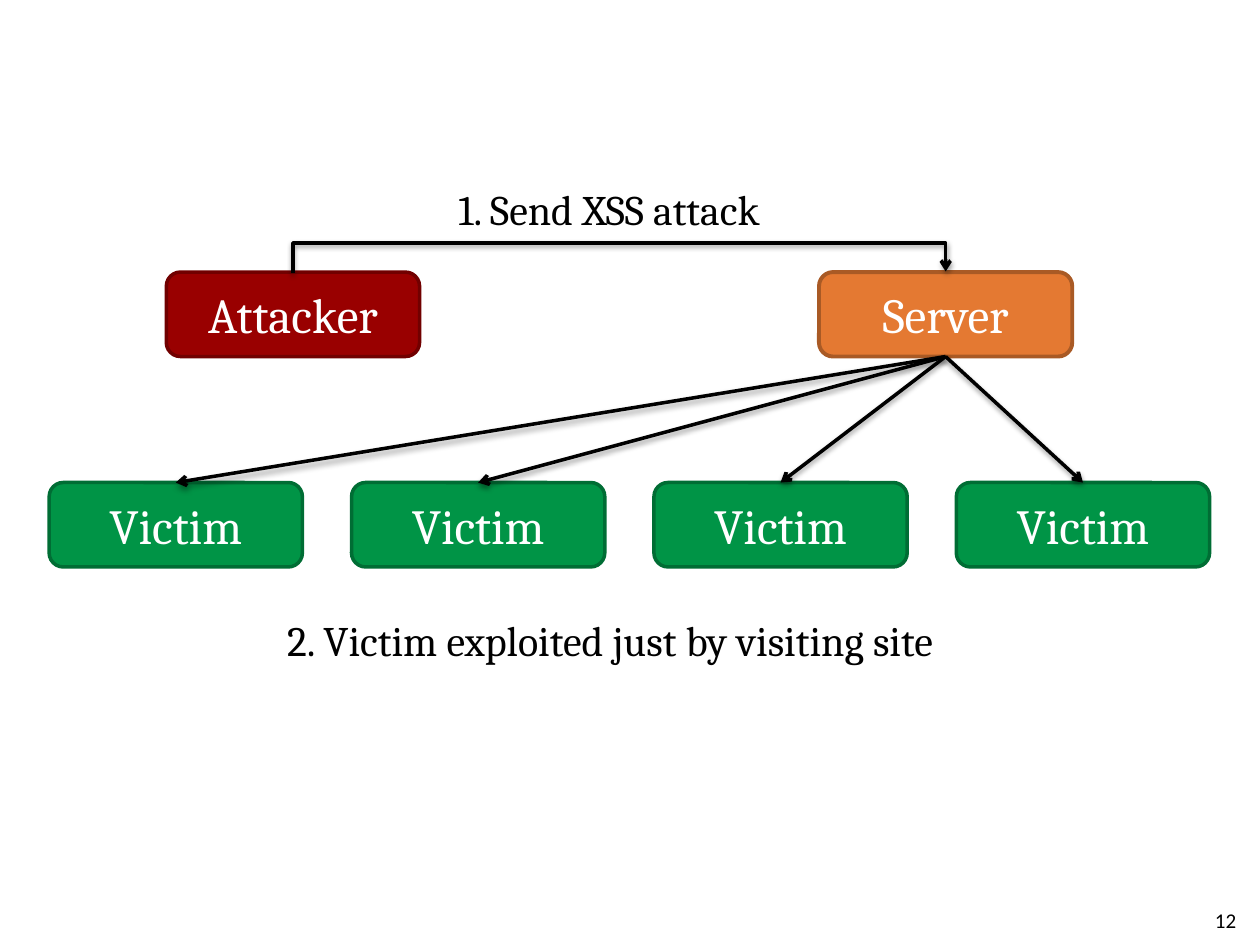
from lxml import etree
from pptx import Presentation
from pptx.dml.color import RGBColor
from pptx.enum.shapes import MSO_CONNECTOR, MSO_SHAPE
from pptx.enum.text import MSO_ANCHOR, MSO_AUTO_SIZE, PP_ALIGN
from pptx.oxml import parse_xml
from pptx.oxml.ns import nsdecls, qn
from pptx.util import Inches, Pt

ROUNDED = MSO_SHAPE.ROUNDED_RECTANGLE
STRAIGHT, ELBOW = MSO_CONNECTOR.STRAIGHT, MSO_CONNECTOR.ELBOW
MIDDLE = MSO_ANCHOR.MIDDLE
LEFT, CENTER, RIGHT = PP_ALIGN.LEFT, PP_ALIGN.CENTER, PP_ALIGN.RIGHT
FIT_SHAPE = MSO_AUTO_SIZE.SHAPE_TO_FIT_TEXT

BOX_WIDTH, BOX_HEIGHT = 2.01, 0.67
SHADOW = (
    f'<a:effectLst {nsdecls("a")}>'
    '<a:outerShdw blurRad="39370" dist="20320" dir="5400000" rotWithShape="0">'
    '<a:srgbClr val="000000"><a:alpha val="38000"/></a:srgbClr>'
    '</a:outerShdw></a:effectLst>'
)


def color(value):
    """Turn a hex string into a colour."""
    return RGBColor.from_string(value)


def write(shape, text, size, font_color, font_name="Cambria", alignment=LEFT):
    """Put one formatted paragraph into a shape."""
    shape.text_frame.text = text
    paragraph = shape.text_frame.paragraphs[0]
    paragraph.alignment = alignment
    font = paragraph.runs[0].font
    font.name, font.size = font_name, Pt(size)
    font.color.rgb = color(font_color)


def add_box(slide, left, top, text, fill, border, border_width=2):
    """Add a rounded box for one party."""
    shape = slide.shapes.add_shape(
        ROUNDED, Inches(left), Inches(top), Inches(BOX_WIDTH), Inches(BOX_HEIGHT))
    shape.shadow.inherit = False
    shape.fill.solid()
    shape.fill.fore_color.rgb = color(fill)
    shape.line.color.rgb = color(border)
    shape.line.width = Pt(border_width)
    shape.text_frame.vertical_anchor = MIDDLE
    write(shape, text, 28, "FFFFFF", alignment=CENTER)


def add_label(slide, left, top, width, height, text):
    """Add an unwrapped step label."""
    label = slide.shapes.add_textbox(
        Inches(left), Inches(top), Inches(width), Inches(height))
    label.text_frame.word_wrap = False
    label.text_frame.auto_size = FIT_SHAPE
    write(label, text, 24, "000000")


def add_arrow(slide, kind, start, end):
    """Add a black shadowed arrow between two points."""
    arrow = slide.shapes.add_connector(
        kind, *(Inches(value) for value in (*start, *end)))
    arrow.line.color.rgb = color("000000")
    arrow.line.width = Pt(2)
    properties = arrow._element.spPr
    etree.SubElement(properties.find(qn("a:ln")), qn("a:tailEnd"), type="arrow")
    properties.append(parse_xml(SHADOW))
    return arrow


def add_attack(slide, attacker_left, server_left, top):
    """Add the attacker, the server and the bent arrow over them."""
    add_box(slide, server_left, top, "Server", "E47932", "A95A25", 2.25)
    add_box(slide, attacker_left, top, "Attacker", "990000", "710000")
    span = server_left - attacker_left
    middle = (attacker_left + server_left + BOX_WIDTH) / 2
    thickness, rise = 0.01, 0.24
    arrow = add_arrow(
        slide, ELBOW,
        (middle + thickness / 2, top + span / 2),
        (middle - thickness / 2, top - span / 2))
    properties = arrow._element.spPr
    properties.find(qn("a:xfrm")).set("rot", "5400000")
    adjustments = properties.find(qn("a:prstGeom")).find(qn("a:avLst"))
    etree.SubElement(adjustments, qn("a:gd"), name="adj1",
                     fmla=f"val {round(rise / thickness * 100000)}")
    add_label(slide, 3.54, 1.41, 2.8, 0.5, "1. Send XSS attack")


def add_victims(slide, left, top, pitch, count, source):
    """Add a row of victims with arrows from the server."""
    lefts = [left + index * pitch for index in range(count)]
    for box_left in lefts:
        add_box(slide, box_left, top, "Victim", "009446", "006D34")
    for box_left in lefts:
        add_arrow(slide, STRAIGHT, source, (box_left + BOX_WIDTH / 2, top))
    add_label(slide, 2.18, 4.83, 5.64, 0.5,
              "2. Victim exploited just by visiting site")


def add_page_number(slide, left, top, width, height):
    """Add the page number at the bottom right."""
    number = slide.shapes.add_textbox(
        Inches(left), Inches(top), Inches(width), Inches(height))
    number.text_frame.word_wrap = True
    number.text_frame.vertical_anchor = MIDDLE
    write(number, "12", 12, "000000", "Calibri", RIGHT)


def main():
    """Build and save the slide."""
    presentation = Presentation()
    presentation.slide_width, presentation.slide_height = Inches(10), Inches(7.5)
    slide = presentation.slides.add_slide(presentation.slide_layouts[6])
    add_page_number(slide, 7.58, 7.1, 2.33, 0.4)
    server_left, top = 6.5, 2.16
    add_attack(slide, 1.32, server_left, top)
    source = (server_left + BOX_WIDTH / 2, top + BOX_HEIGHT)
    add_victims(slide, 0.39, 3.83, 2.4, 4, source)
    presentation.save("out.pptx")


if __name__ == "__main__":
    main()
